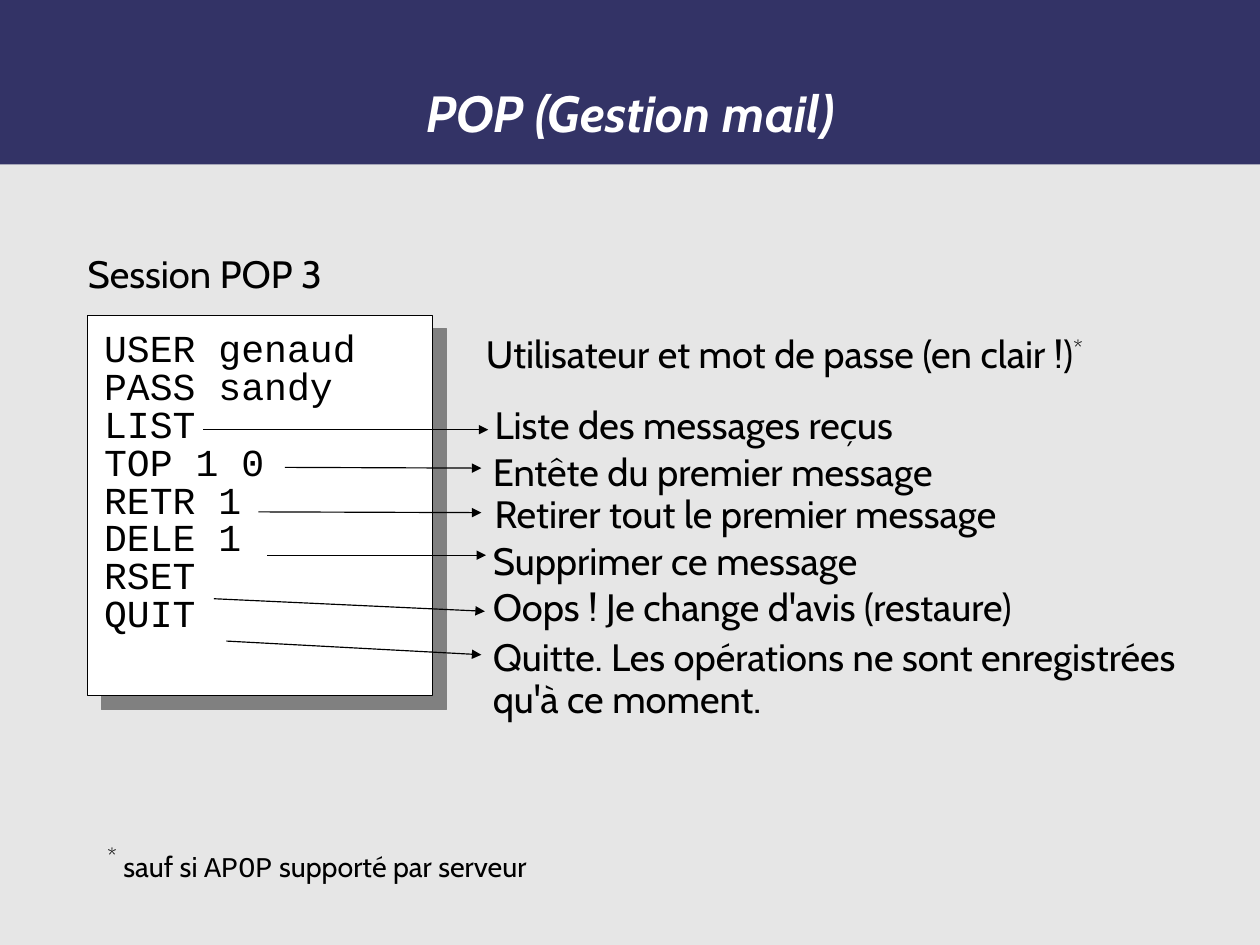
from lxml import etree
from pptx import Presentation
from pptx.dml.color import RGBColor
from pptx.enum.shapes import MSO_CONNECTOR, MSO_SHAPE
from pptx.enum.text import MSO_ANCHOR, MSO_AUTO_SIZE, PP_ALIGN
from pptx.oxml import parse_xml
from pptx.oxml.ns import nsdecls, qn
from pptx.util import Inches, Mm, Pt

LINE, RECT = MSO_CONNECTOR.STRAIGHT, MSO_SHAPE.RECTANGLE
TOP, MID = MSO_ANCHOR.TOP, MSO_ANCHOR.MIDDLE
LEFT, MID_H = PP_ALIGN.LEFT, PP_ALIGN.CENTER
FIXED = MSO_AUTO_SIZE.NONE

THEME = {
    "page": RGBColor(0xE6, 0xE6, 0xE6), "band": RGBColor(0x33, 0x33, 0x66),
    "ink": RGBColor(0, 0, 0), "card": RGBColor(255, 255, 255),
    "shade": "808080", "sans": "Cabin", "mono": "Courier New",
    "head": Pt(32), "body": Pt(24), "small": Pt(18), "rule": Pt(0.75),
}

deck = Presentation()
deck.slide_width, deck.slide_height = Mm(280), Mm(210)
# The grid has 100 columns and 100 rows.
COL, ROW = deck.slide_width / 100, deck.slide_height / 100
ONE = 4.96  # rows in a one-line box

slide = deck.slides.add_slide(deck.slide_layouts[5])
slide.background.fill.solid()
slide.background.fill.fore_color.rgb = THEME["page"]
shapes = slide.shapes


def place(x, y, w, h):
    """Turn grid columns and rows into slide lengths."""
    return [round(n) for n in (x * COL, y * ROW, w * COL, h * ROW)]


def write(box, lines, face="sans", size="body", ink="ink", pad=0.02,
          space=0.93, align=LEFT, anchor=TOP, **style):
    """Fill a box; each line is a list of (text, format) runs."""
    frame = box.text_frame
    form = {"word_wrap": False, "auto_size": FIXED, "vertical_anchor": anchor,
            "margin_left": 0, "margin_right": 0, "margin_bottom": 0,
            "margin_top": Inches(pad)}
    for key, val in form.items():
        setattr(frame, key, val)
    for i, line in enumerate(lines):
        para = frame.add_paragraph() if i else frame.paragraphs[0]
        para.line_spacing, para.alignment = space, align
        for text, more in line:
            run = para.add_run()
            run.text = text
            look = {"name": THEME[more.get("face", face)],
                    "size": THEME[more.get("size", size)], **style}
            for key, val in look.items():
                setattr(run.font, key, val)
            run.font.color.rgb = THEME[ink]
            if "raised" in more:
                run.font._element.set("baseline", "33000")


# Title band and card
band = shapes.add_shape(RECT, *place(0, 0, 100, 17.41))
card = shapes.add_shape(RECT, *place(6.96, 33.37, 27.4, 40.27))
for shape, fill in ((band, "band"), (card, "card")):
    shape.shadow.inherit = False
    shape.fill.solid()
    shape.fill.fore_color.rgb = THEME[fill]
band.line.fill.background()
card.line.color.rgb, card.line.width = THEME["ink"], THEME["rule"]
card._element.spPr.find(qn("a:effectLst")).append(parse_xml(
    f'<a:outerShdw {nsdecls("a")} blurRad="0" dist="{Pt(12)}" dir="2700000" '
    f'algn="tl" rotWithShape="0"><a:srgbClr val="{THEME["shade"]}"/>'
    '</a:outerShdw>'))

title = shapes.title
title.left, title.top, title.width, title.height = place(7.35, 3.7, 85.4, 16.69)
write(title, [[("POP (Gestion mail)", {})]], size="head", ink="card", pad=0.03,
      align=MID_H, anchor=MID, bold=True, italic=True)
shapes._spTree.append(title._element)

# Session commands
code = ["USER genaud", "PASS sandy", "LIST", "TOP 1 0", "RETR 1", "DELE 1",
        "RSET", "QUIT"]
box = shapes.add_textbox(*place(8.26, 34.4, 19.96, 38.33))
write(box, [[(text, {})] for text in code], face="mono", pad=0.06, space=0.83)

# Labels: column, row, width, lines
star = ("*", {"raised": True})
small = {"size": "small"}
labels = [
    (6.96, 26.72, 20.15, [[("Session POP 3", {})]]),
    (38.57, 35.19, 49.27,
     [[("Utilisateur et mot de passe (en clair !)", {}), star]]),
    (39.25, 42.68, 34.12, [[("Liste des messages reçus", {})]]),
    (39.11, 47.64, 35.84, [[("Entête du premier message", {})]]),
    (39.25, 52.12, 40.83, [[("Retirer tout le premier message", {})]]),
    (39.11, 57.03, 30.13, [[("Supprimer ce message", {})]]),
    (39.11, 61.95, 46.19, [[("Oops ! Je change d'avis (restaure)", {})]]),
    (39.11, 67.19, 55.72,
     [[("Quitte. Les opérations ne sont enregistrées", {})],
      [("qu'à ce moment.", {})]]),
    (8.53, 89, 36.39,
     [[star, (" sauf si ", small), ("APOP", {"face": "mono", **small}),
       (" supporté par serveur", small)]]),
]
for x, y, w, lines in labels:
    write(shapes.add_textbox(*place(x, y, w, ONE * len(lines))), lines)

# Arrows from command to label: start column and row, end column and row
arrows = [
    (16.15, 45.47, 38.75, 45.47), (22.6, 49.46, 38.2, 49.54),
    (20.51, 54.17, 38.2, 54.25), (21.23, 58.75, 38.57, 58.75),
    (16.97, 63.36, 38.48, 64.69), (17.97, 67.84, 38.2, 69.29),
]
for ends in arrows:
    arrow = shapes.add_connector(LINE, *place(*ends))
    arrow.line.color.rgb, arrow.line.width = THEME["ink"], THEME["rule"]
    etree.SubElement(arrow.line._get_or_add_ln(), qn("a:tailEnd"), type="triangle")
    etree.SubElement(arrow._element.spPr, qn("a:effectLst"))

deck.save("out.pptx")
